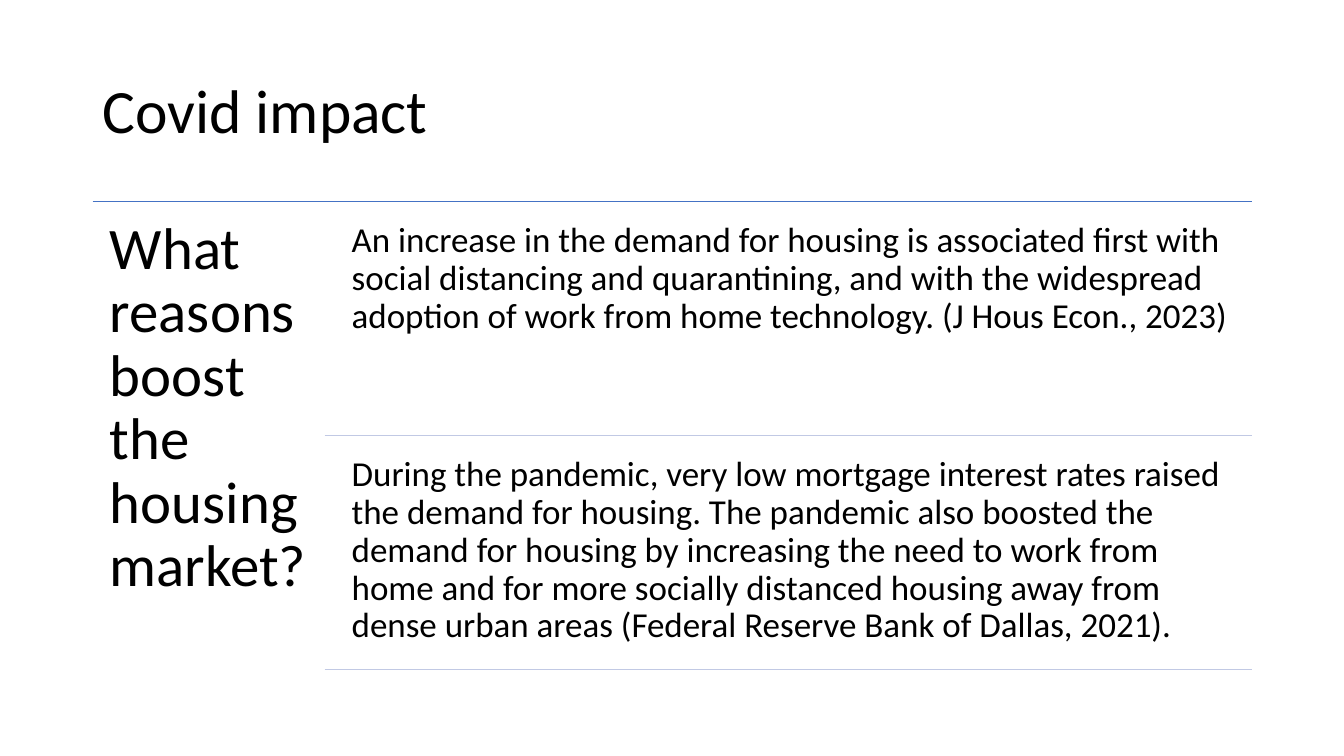
from pptx import Presentation
from pptx import util as u
from pptx.dml.color import RGBColor
from pptx.enum import shapes, text
from lxml import etree

PX = 9144  # 100 px to the inch
THEME = {
    "font": "Calibri",
    "ink": "000000",
    "rule": "4472C4",
    "pale_rule": "C1C9E4",
    "title_size": 44,
    "question_size": 42,
    "reason_size": 25,
}

presentation = Presentation()
presentation.slide_width = u.Emu(1333 * PX)
presentation.slide_height = u.Emu(750 * PX)
slide = presentation.slides.add_slide(presentation.slide_layouts[6])


def add_text(words, left, top, width, height, size, inset=(10, 10, 10, 10),
             anchor=text.MSO_ANCHOR.TOP, space_after=0):
    box = slide.shapes.add_textbox(*(u.Emu(n * PX) for n in (left, top, width, height)))
    frame = box.text_frame
    frame.word_wrap = True
    frame.vertical_anchor = anchor
    (frame.margin_left, frame.margin_top,
     frame.margin_right, frame.margin_bottom) = (u.Emu(n * PX) for n in inset)
    paragraph = frame.paragraphs[0]
    paragraph.line_spacing = 0.9
    paragraph.space_after = u.Pt(space_after)
    run = paragraph.add_run()
    run.text = words
    run.font.name = THEME["font"]
    run.font.size = u.Pt(size)
    run.font.color.rgb = RGBColor.from_string(THEME["ink"])


def add_rule(left, right, y, color):
    rule = slide.shapes.add_connector(
        shapes.MSO_CONNECTOR.STRAIGHT, *(u.Emu(n * PX) for n in (left, y, right, y)))
    rule.line.color.rgb = RGBColor.from_string(color)
    rule.line.width = u.Pt(1)
    properties = rule.line._get_or_add_ln().getparent()
    namespace = etree.QName(properties[0]).namespace
    etree.SubElement(properties, f"{{{namespace}}}effectLst")


# Shared edges
LEFT, RIGHT, TOP = 92, 1242, 200
REASON_LEFT, REASON_HEIGHT, GAP = 339, 221, 11

# Title
add_text("Covid impact", LEFT, 40, RIGHT - LEFT, 145, THEME["title_size"],
         inset=(10, 5, 10, 5), anchor=text.MSO_ANCHOR.MIDDLE)

# Question under the main rule
add_rule(LEFT, RIGHT, TOP, THEME["rule"])
add_text("What reasons boost the housing market?", LEFT, TOP, 230, 476,
         THEME["question_size"], inset=(17, 17, 10, 17), space_after=15)

# Reasons, each closed by a pale rule
reasons = [
    "An increase in the demand for housing is associated first with social "
    "distancing and quarantining, and with the widespread adoption of work from "
    "home technology. (J Hous Econ., 2023)",
    "During the pandemic, very low mortgage interest rates raised the demand for "
    "housing. The pandemic also boosted the demand for housing by increasing the "
    "need to work from home and for more socially distanced housing away from "
    "dense urban areas (Federal Reserve Bank of Dallas, 2021).",
]
for index, reason in enumerate(reasons):
    top = TOP + GAP + index * (REASON_HEIGHT + GAP)
    add_text(reason, REASON_LEFT, top, RIGHT - REASON_LEFT, REASON_HEIGHT,
             THEME["reason_size"], space_after=9)
    add_rule(322, RIGHT, top + REASON_HEIGHT, THEME["pale_rule"])

presentation.save("out.pptx")
